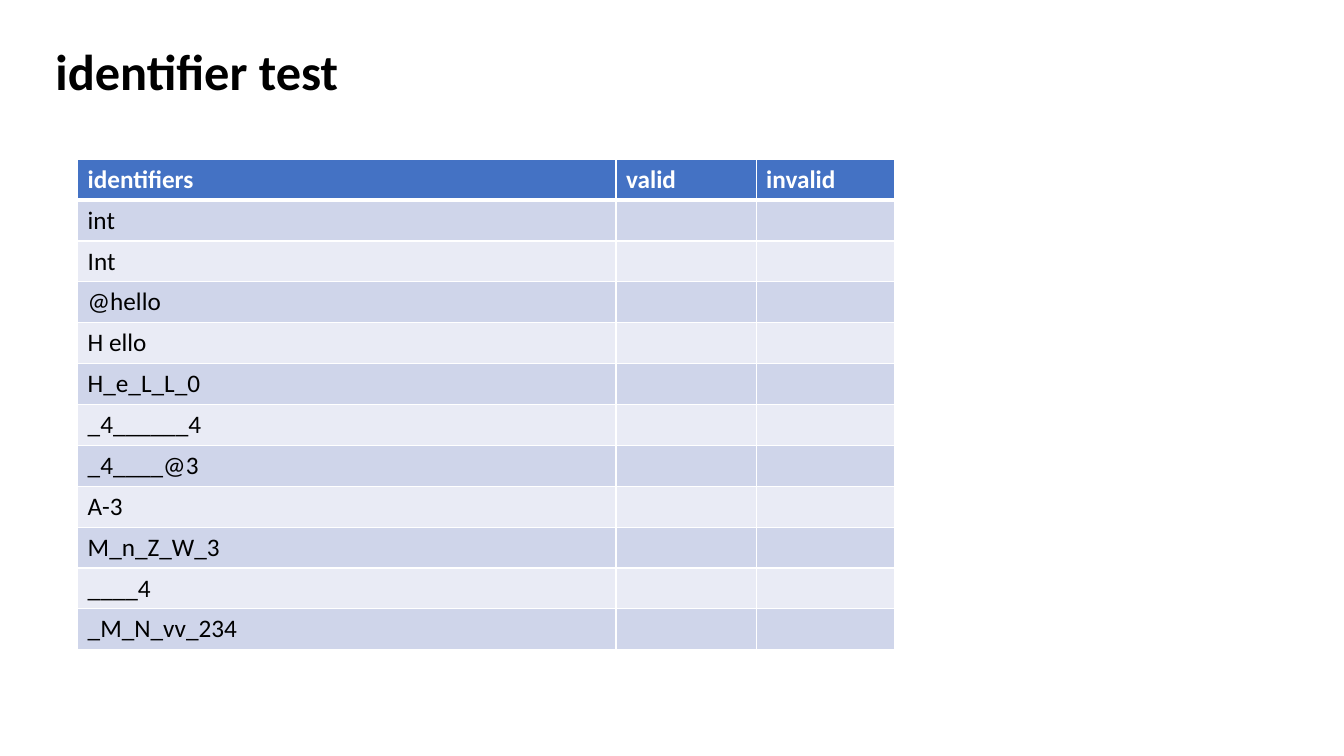
"""Build the identifier test slide with its valid/invalid table."""
from lxml import etree
from pptx import Presentation
from pptx.dml.color import RGBColor
from pptx.enum import text
from pptx.oxml import ns
from pptx.util import Inches, Pt


def write(tf, content, size=18, color="000000", bold=False, spacing=None):
    p = tf.paragraphs[0]
    p.alignment = text.PP_ALIGN.LEFT
    p.line_spacing = spacing
    r = p.add_run()
    r.text = content
    r.font.name = "Calibri"
    r.font.size = Pt(size)
    r.font.bold = bold
    r.font.color.rgb = RGBColor.from_string(color)


def add_border(cell, side, width, color="FFFFFF"):
    tc_pr = cell._tc.get_or_add_tcPr()
    ln = etree.SubElement(tc_pr, ns.qn(f"a:ln{side}"), w=str(Pt(width)))
    fill = etree.SubElement(ln, ns.qn("a:solidFill"))
    etree.SubElement(fill, ns.qn("a:srgbClr"), val=color)


HEADERS = ["identifiers", "valid", "invalid"]
IDENTIFIERS = ["int", "Int", "@hello", "H ello", "H_e_L_L_0", "_4______4",
               "_4____@3", "A-3", "M_n_Z_W_3", "____4", "_M_N_vv_234"]
COLUMN_WIDTHS = [5.34, 1.39, 1.37]
ROW_HEIGHT = 4.87 / 12
HEADER_FILL = "4472C4"
BAND_FILLS = ["E9EBF5", "CFD5EA"]

prs = Presentation()
prs.slide_width = Inches(13.33)
prs.slide_height = Inches(7.5)
s = prs.slides.add_slide(prs.slide_layouts[5])

title = s.shapes.title
title.left, title.top = Inches(0.45), Inches(0.42)
title.width, title.height = Inches(11.5), Inches(0.64)
tf = title.text_frame
tf.auto_size = text.MSO_AUTO_SIZE.NONE
tf.vertical_anchor = text.MSO_ANCHOR.MIDDLE
write(tf, "identifier test", size=36, bold=True, spacing=0.9)

rows = [HEADERS] + [[name, "", ""] for name in IDENTIFIERS]
table = s.shapes.add_table(len(rows), len(HEADERS), Inches(0.77), Inches(1.58),
                           Inches(sum(COLUMN_WIDTHS)),
                           Inches(ROW_HEIGHT * len(rows))).table
for column, width in zip(table.columns, COLUMN_WIDTHS):
    column.width = Inches(width)

for i, row in enumerate(rows):
    table.rows[i].height = Inches(ROW_HEIGHT)
    is_header = i == 0
    for j, content in enumerate(row):
        cell = table.cell(i, j)
        add_border(cell, "L", 1)
        add_border(cell, "R", 1)
        add_border(cell, "T", 3 if i == 1 else 1)
        add_border(cell, "B", 3 if is_header else 1)
        cell.fill.solid()
        cell.fill.fore_color.rgb = RGBColor.from_string(
            HEADER_FILL if is_header else BAND_FILLS[i % 2])
        if content:
            write(cell.text_frame, content, bold=is_header,
                  color="FFFFFF" if is_header else "000000")

prs.save("out.pptx")
